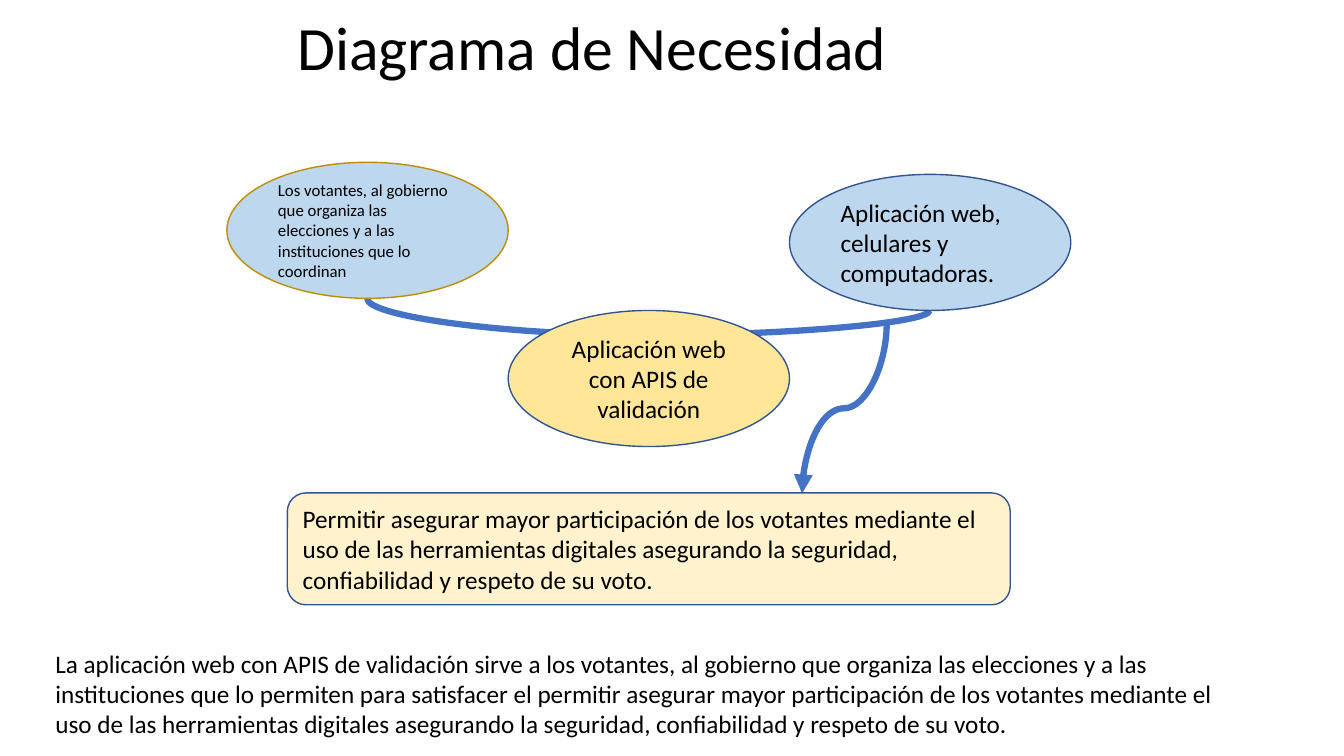
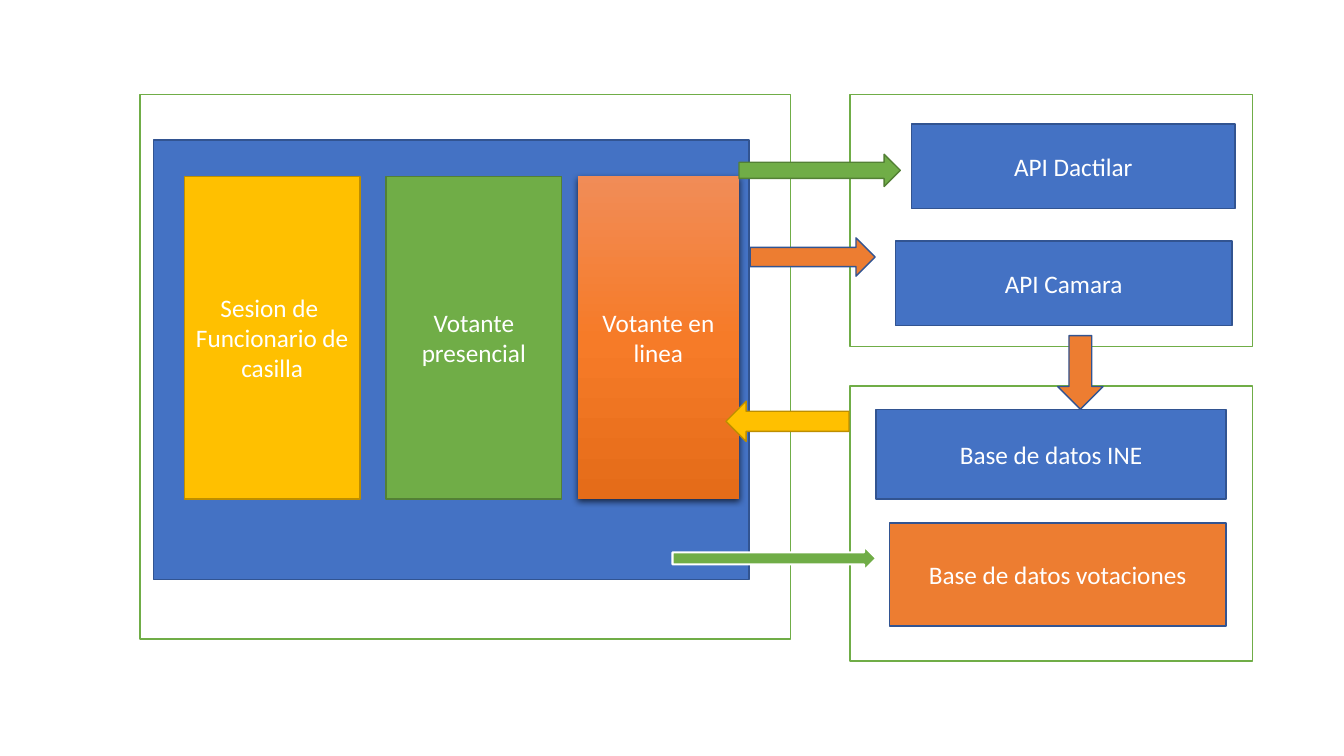
from copy import deepcopy

from lxml import etree
from pptx import Presentation
from pptx.dml.color import RGBColor
from pptx.enum.shapes import MSO_CONNECTOR, MSO_SHAPE
from pptx.enum.text import MSO_ANCHOR, PP_ALIGN
from pptx.oxml.ns import qn
from pptx.util import Pt

PX = 9144
RECT, ROUND, OVAL = MSO_SHAPE.RECTANGLE, MSO_SHAPE.ROUNDED_RECTANGLE, MSO_SHAPE.OVAL
RIGHT, LEFT, DOWN = MSO_SHAPE.RIGHT_ARROW, MSO_SHAPE.LEFT_ARROW, MSO_SHAPE.DOWN_ARROW
CURVE = MSO_CONNECTOR.CURVE
START, MID = PP_ALIGN.LEFT, PP_ALIGN.CENTER
TOP, CENTER = MSO_ANCHOR.TOP, MSO_ANCHOR.MIDDLE

HUES = {
    "black": "000000", "white": "FFFFFF", "blue": "4472C4", "navy": "325491",
    "sky": "BDD7EE", "cream": "FFF2CC", "sand": "FFE699", "gold": "FFC000",
    "ochre": "BD8E00", "green": "70AD47", "moss": "538035", "orange": "ED7D31",
    "peach": "F18C57", "flame": "F67B28", "rust": "E56C19",
}
RGB = {name: RGBColor.from_string(code) for name, code in HUES.items()}


def write(shape, text, size=18, hue="black", align=START, anchor=CENTER):
    frame = shape.text_frame
    frame.text = text
    for key, val in {"word_wrap": True, "vertical_anchor": anchor}.items():
        setattr(frame, key, val)
    for para in frame.paragraphs:
        para.alignment = align
        para.font.color.rgb = RGB[hue]
        for key, val in {"name": "Calibri", "size": Pt(size)}.items():
            setattr(para.font, key, val)


def draw(slide, kind, area, fill, line, width=1):
    shape = slide.shapes.add_shape(kind, *[n * PX for n in area])
    shape.shadow.inherit = False
    shape.fill.solid()
    shape.fill.fore_color.rgb = RGB[fill]
    shape.line.color.rgb = RGB[line]
    shape.line.width = Pt(width)
    return shape


deck = Presentation()
deck.slide_width, deck.slide_height = 1333 * PX, 750 * PX
need, flow = [deck.slides.add_slide(deck.slide_layouts[6]) for _ in range(2)]

title = need.shapes.add_textbox(*[n * PX for n in (285, 0, 1000, 101)])
write(title, "Diagrama de Necesidad", 44)
title.text_frame.paragraphs[0].line_spacing = 0.9

goal = ("Permitir asegurar mayor participación de los votantes mediante el uso de las "
        "herramientas digitales asegurando la seguridad, confiabilidad y respeto de su voto.")
nodes = [
    (OVAL, (225, 161, 279, 135), "sky", "ochre", 12, START,
     "Los votantes, al gobierno que organiza las elecciones y a las instituciones que lo coordinan"),
    (OVAL, (783, 173, 279, 135), "sky", "navy", 18, START,
     "Aplicación web, celulares y computadoras."),
    (ROUND, (285, 489, 717, 111), "cream", "navy", 18, START, goal),
    (OVAL, (504, 308, 279, 135), "sand", "navy", 18, MID,
     "Aplicación web con APIS de validación"),
]
links = [
    ((649, 23, 637, 581), 270, 304200, None),
    ((753, 363, 922, 447), 90, 50000, "triangle"),
]
for ends, turn, bend, head in links:
    link = need.shapes.add_connector(CURVE, *[n * PX for n in ends])
    link.line.color.rgb = RGB["blue"]
    link.line.width = Pt(4.5)
    props = link._element.spPr
    props.find(qn("a:xfrm")).set("rot", str(turn * 60000))
    guides = props.find(qn("a:prstGeom")).find(qn("a:avLst"))
    etree.SubElement(guides, qn("a:gd"), name="adj1", fmla=f"val {bend}")
    if head:
        etree.SubElement(props.find(qn("a:ln")), qn("a:tailEnd"), type=head)
    etree.SubElement(props, qn("a:effectLst"))
for kind, area, fill, line, size, align, text in nodes:
    write(draw(need, kind, area, fill, line), text, size, align=align)

note = need.shapes.add_textbox(*[n * PX for n in (45, 638, 1208, 112)])
write(note, "La aplicación web con APIS de validación sirve a los votantes, al gobierno que "
      "organiza las elecciones y a las instituciones que lo permiten para satisfacer el "
      + goal[0].lower() + goal[1:], anchor=TOP)

for area in [(139, 94, 645, 540), (843, 94, 399, 250), (843, 383, 399, 273)]:
    draw(flow, RECT, area, "white", "green")
draw(flow, RECT, (152, 139, 591, 436), "blue", "navy")

cards = [
    ((869, 406, 347, 89), "blue", "navy", "Base de datos INE"),
    ((882, 519, 334, 102), "orange", "navy", "Base de datos votaciones"),
    ((888, 239, 334, 84), "blue", "navy", "API Camara"),
    ((904, 123, 321, 84), "blue", "navy", "API Dactilar"),
    ((183, 175, 174, 320), "gold", "ochre", "Sesion de \nFuncionario de casilla"),
    ((383, 175, 174, 320), "green", "moss", "Votante presencial"),
    ((573, 175, 160, 320), "flame", "flame", "Votante en linea"),
]
for area, fill, line, text in cards:
    card = draw(flow, RECT, area, fill, line)
    write(card, text, hue="white", align=MID)

card.line.fill.background()
card.fill.gradient()
card.fill.gradient_angle = 270
props = card._element.spPr
stops = props.find(qn("a:gradFill")).find(qn("a:gsLst"))
stops.insert(1, deepcopy(stops[0]))
for stop, hue, place in zip(card.fill.gradient_stops, ("peach", "flame", "rust"), (0, 0.5, 1)):
    stop.color.rgb = RGB[hue]
    stop.position = place
shade = etree.SubElement(props.find(qn("a:effectLst")), qn("a:outerShdw"),
                         blurRad=str(Pt(4.5)), dist=str(Pt(1.5)), dir="5400000",
                         algn="ctr", rotWithShape="0")
tone = etree.SubElement(shade, qn("a:srgbClr"), val=HUES["black"])
etree.SubElement(tone, qn("a:alpha"), val="63000")

arrows = [
    (RIGHT, (733, 153, 160, 32), "green", "moss", 1),
    (RIGHT, (744, 236, 124, 38), "orange", "navy", 1),
    (DOWN, (1049, 333, 45, 73), "orange", "navy", 1),
    (RIGHT, (667, 542, 202, 24), "green", "white", 1.5),
    (LEFT, (720, 398, 122, 40), "gold", "ochre", 1),
]
for arrow in arrows:
    draw(flow, *arrow)

deck.save("out.pptx")
